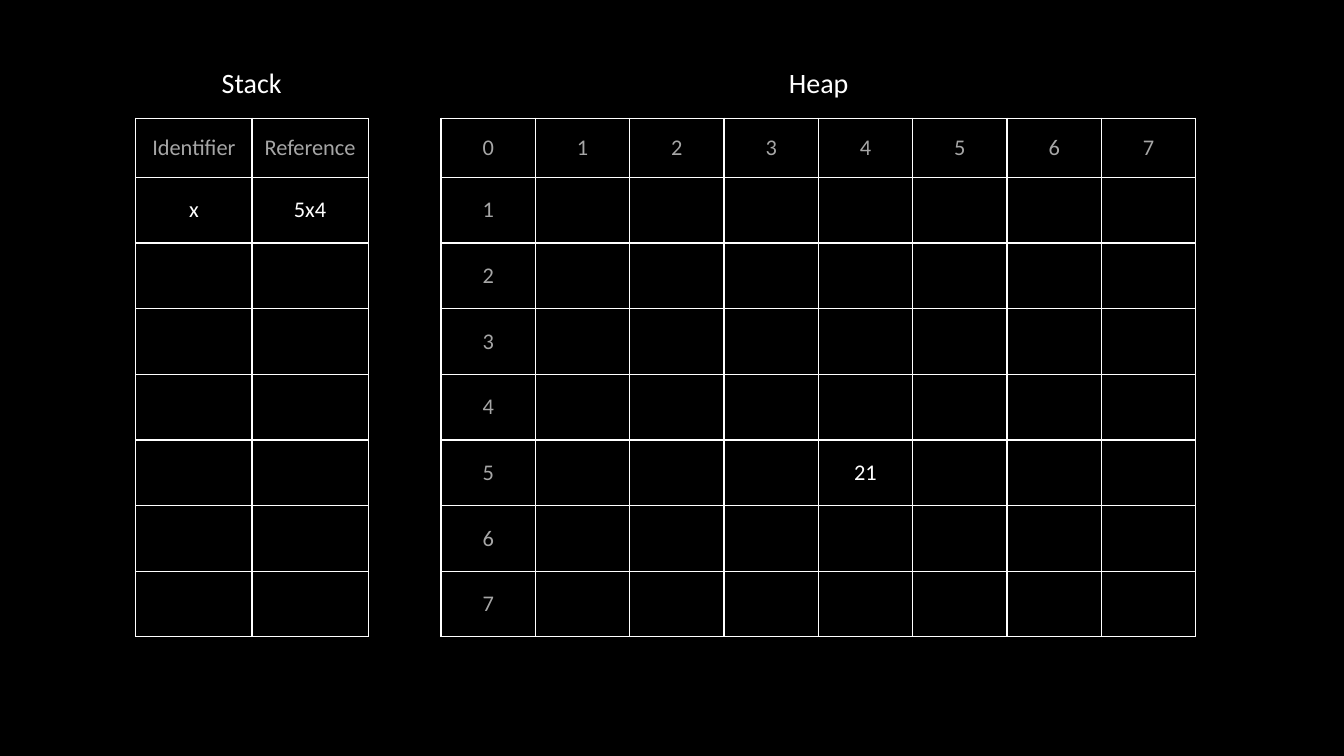
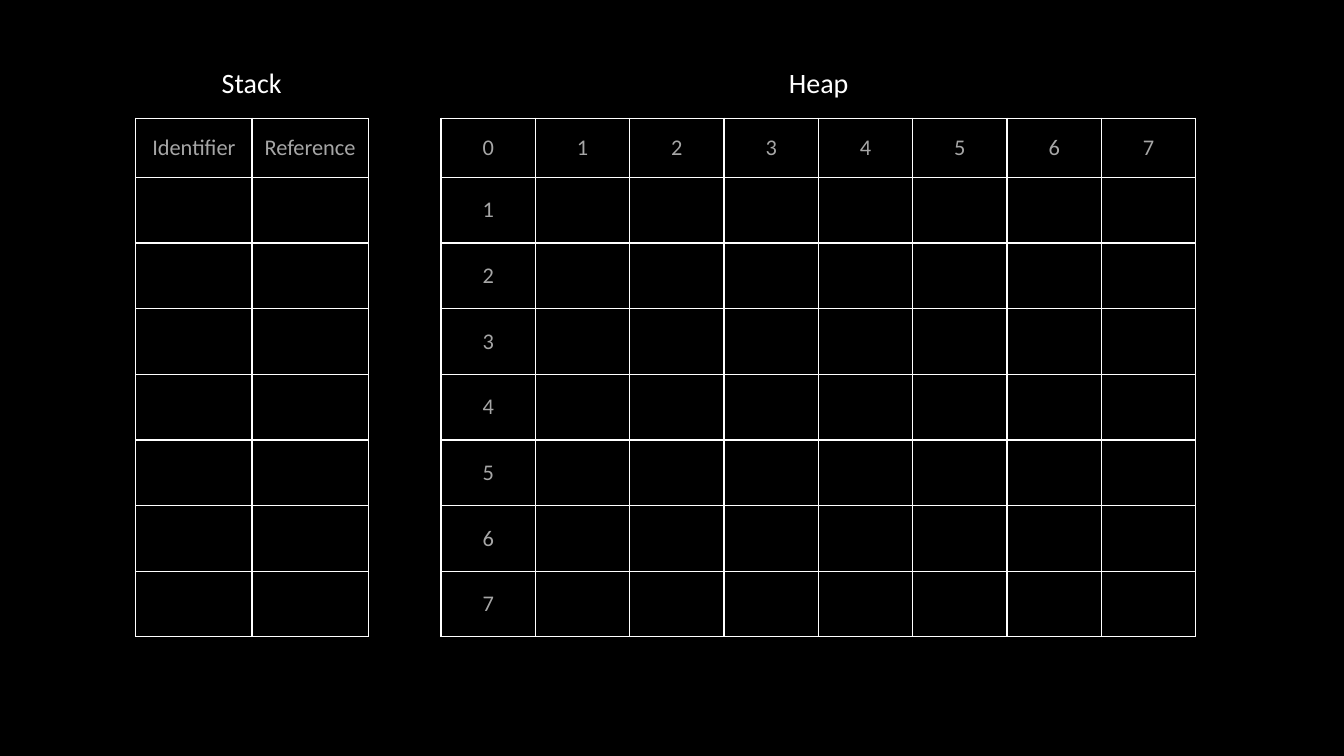
from pptx import Presentation
from pptx.dml.color import RGBColor
from pptx.enum.text import MSO_ANCHOR, MSO_AUTO_SIZE, PP_ALIGN
from pptx.oxml.ns import qn
from pptx.util import Pt
from lxml.etree import SubElement

COLORS = {"background": "000000", "text": "FFFFFF", "label": "A6A6A6", "border": "FFFFFF"}
FONT = "Calibri"
GRID_TOP = 84.5
ROW_HEIGHTS = [42.2] + [46.9] * 7

# Shared labels, keyed by (row, column)
STACK_LABELS = {(0, 0): "Identifier", (0, 1): "Reference"}
HEAP_LABELS = {(0, number): str(number) for number in range(8)}
HEAP_LABELS.update({(number, 0): str(number) for number in range(1, 8)})

# Values held in memory on each slide
SLIDES = [
    {"stack": {(1, 0): "x", (1, 1): "5x4"}, "heap": {(5, 4): "21"}},
    {"stack": {}, "heap": {}},
]


def format_paragraph(para, size, color):
    para.alignment = PP_ALIGN.CENTER
    para.font.name = FONT
    para.font.size = Pt(size)
    para.font.color.rgb = RGBColor.from_string(COLORS[color])


def add_grid(page, left, column_width, columns, labels, values):
    rows = len(ROW_HEIGHTS)
    table = page.shapes.add_table(
        rows, columns, Pt(left), Pt(GRID_TOP),
        Pt(column_width * columns), Pt(sum(ROW_HEIGHTS))).table
    table.first_row = False
    table.horz_banding = False
    for column in table.columns:
        column.width = Pt(column_width)
    for row_index, height in enumerate(ROW_HEIGHTS):
        table.rows[row_index].height = Pt(height)
        for column_index in range(columns):
            cell = table.cell(row_index, column_index)
            position = (row_index, column_index)
            cell.text = values.get(position, labels.get(position, ""))
            cell.vertical_anchor = MSO_ANCHOR.MIDDLE
            format_paragraph(cell.text_frame.paragraphs[0], 16,
                             "text" if position in values else "label")

            # Cell borders come before the fill in the cell properties
            properties = cell._tc.get_or_add_tcPr()
            for side in ("lnL", "lnR", "lnT", "lnB"):
                line = SubElement(properties, qn(f"a:{side}"), w=str(Pt(1)))
                fill = SubElement(line, qn("a:solidFill"))
                SubElement(fill, qn("a:srgbClr"), val=COLORS["border"])
            cell.fill.background()


deck = Presentation()
deck.slide_width, deck.slide_height = Pt(960), Pt(540)

# Black background for every slide
background = deck.slide_master.background.fill
background.solid()
background.fore_color.rgb = RGBColor.from_string(COLORS["background"])

for memory in SLIDES:
    page = deck.slides.add_slide(deck.slide_layouts[6])

    # Heap and stack grids
    add_grid(page, 315, 67.4, 8, HEAP_LABELS, memory["heap"])
    add_grid(page, 97, 83, 2, STACK_LABELS, memory["stack"])

    # Headings above the grids
    for heading, left in (("Stack", 115), ("Heap", 520)):
        box = page.shapes.add_textbox(Pt(left), Pt(43.5), Pt(129.6), Pt(31.5))
        frame = box.text_frame
        frame.word_wrap = True
        frame.auto_size = MSO_AUTO_SIZE.SHAPE_TO_FIT_TEXT
        frame.text = heading
        format_paragraph(frame.paragraphs[0], 20, "text")

deck.save("out.pptx")
